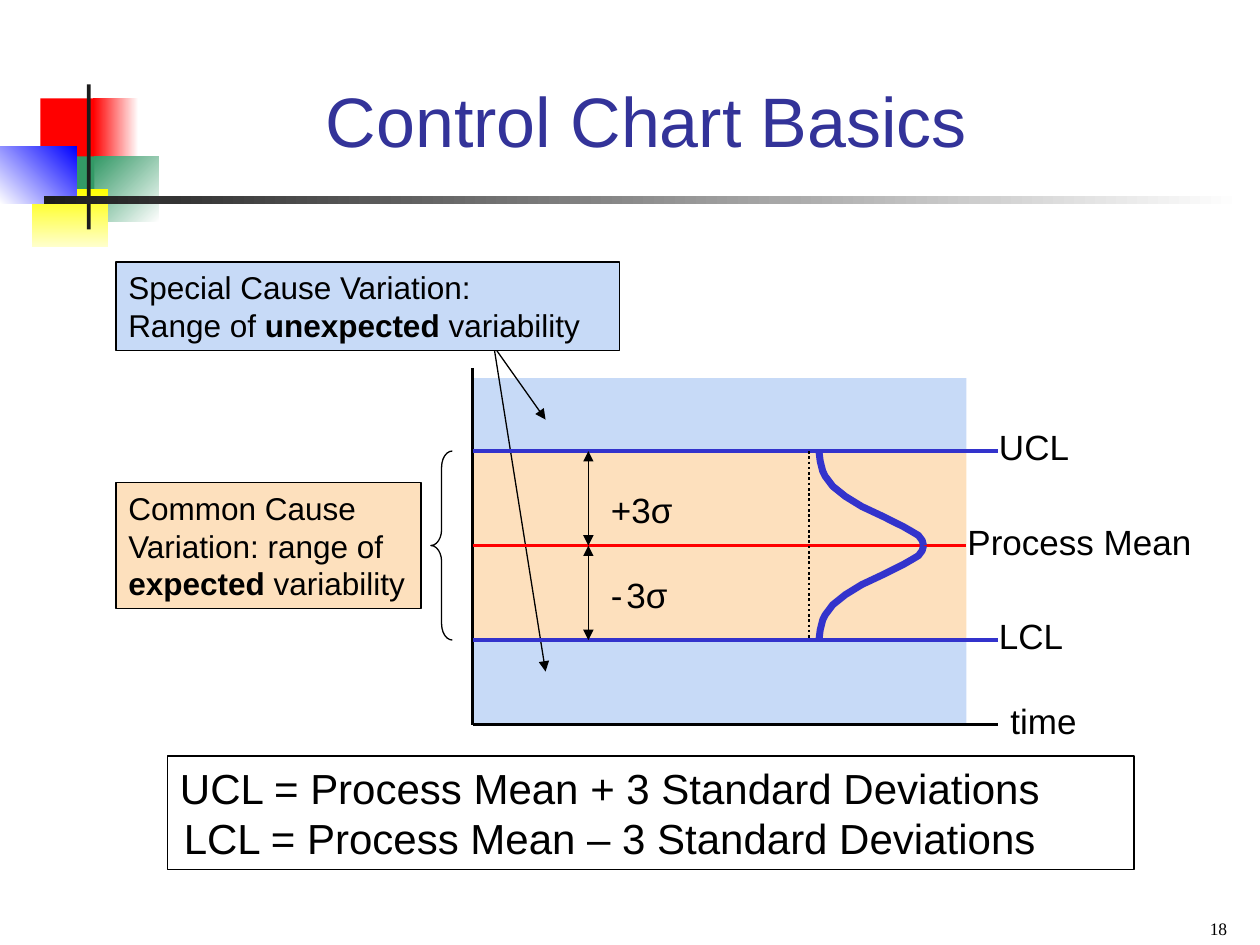
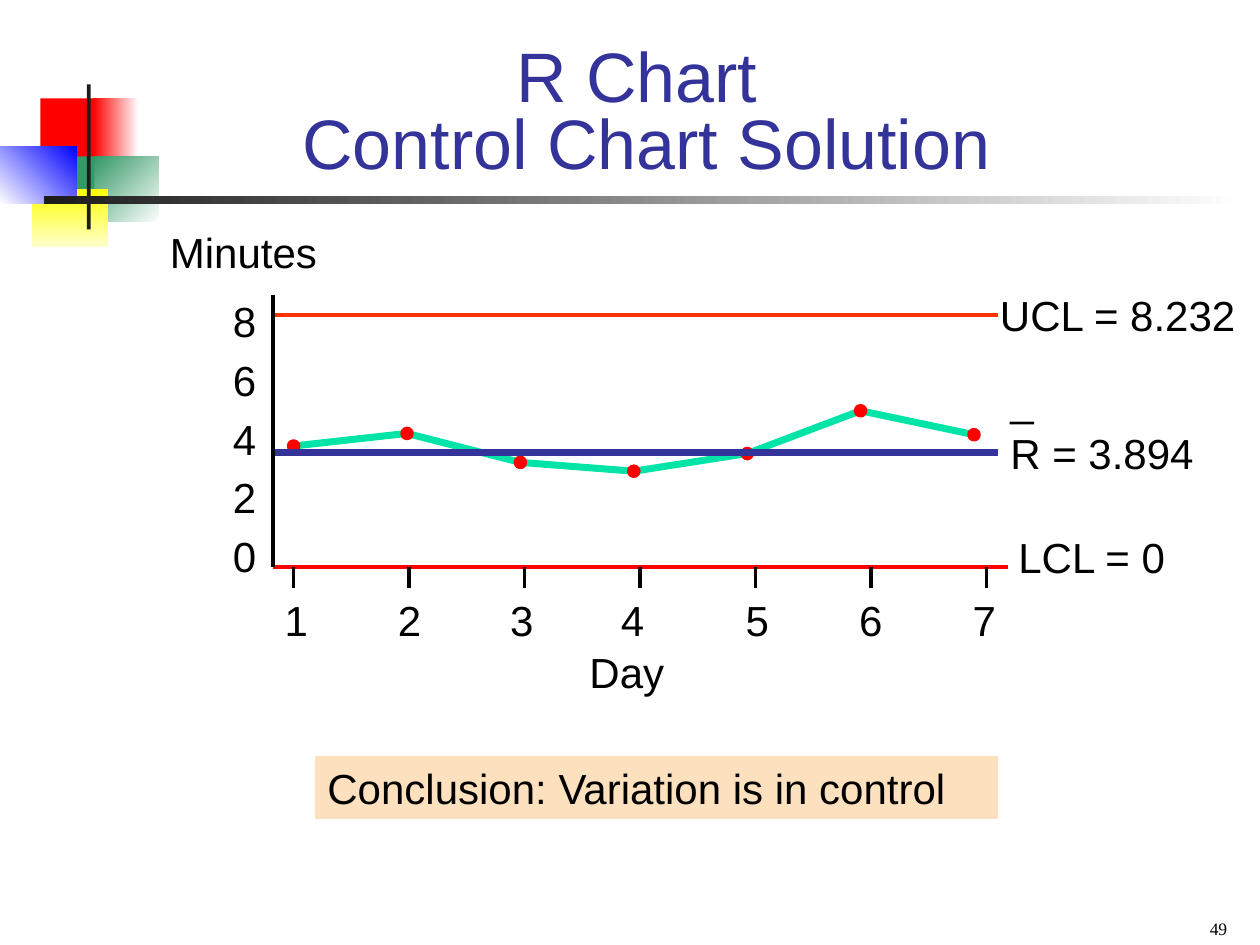
"""Builds two slides on control charts: the basics and a worked R chart."""
from dataclasses import dataclass

from lxml import etree
from pptx import Presentation, util as u
from pptx.dml.color import RGBColor
from pptx.enum import dml, shapes, text
from pptx.oxml.ns import qn


@dataclass(frozen=True)
class Theme:
    """Colours, fonts and type sizes used by both slides."""
    ink: str = "000000"
    title: str = "333399"
    limit: str = "3333CC"
    red: str = "FF0000"
    upper_limit: str = "FF3300"
    series: str = "00E4A8"
    special: str = "C7DAF7"
    common: str = "FDE0BD"
    font: str = "Arial"
    number_font: str = "Times New Roman"
    title_size: int = 40
    large: int = 24
    medium: int = 20
    small: int = 18
    gap: int = 8
    number: int = 10


THEME = Theme()


@dataclass(frozen=True)
class Box:
    """A rectangle on the slide, in inches."""
    left: float
    top: float
    width: float
    height: float

    def lengths(self) -> tuple:
        """Return the four sides as lengths."""
        return tuple(u.Inches(side) for side in (self.left, self.top, self.width, self.height))


@dataclass(frozen=True)
class Run:
    """A piece of text; a size of 0 takes the size of its box."""
    words: str
    bold: bool = False
    size: int = 0


@dataclass(frozen=True)
class Style:
    """How the text of a box is set."""
    size: int = THEME.large
    color: str = THEME.ink
    font: str = THEME.font
    align: text.PP_ALIGN = text.PP_ALIGN.LEFT
    anchor: text.MSO_ANCHOR = text.MSO_ANCHOR.TOP
    wrap: bool = True
    spacing: float = 1.0


@dataclass(frozen=True)
class Line:
    """A straight line with optional arrowheads."""
    start: tuple[float, float]
    end: tuple[float, float]
    color: str = THEME.ink
    width: float = 0.75
    arrows: tuple[str, ...] = ()
    dotted: bool = False


@dataclass(frozen=True)
class Block:
    """A rectangle filled with one colour or a two-colour gradient."""
    box: Box
    colors: tuple[str, ...]
    angle: int = 0


DECORATION = (
    Block(Box(0.32, 0.78, 0.48, 0.52), ("FF0000",)),
    Block(Box(0.74, 0.78, 0.36, 0.52), ("FFFFFF", "FF0000"), 180),
    Block(Box(0.75, 1.24, 0.51, 0.52), ("FFFFFF", "339966"), 225),
    Block(Box(0.43, 1.24, 0.32, 0.52), ("339966",)),
    Block(Box(0.25, 1.5, 0.61, 0.46), ("FFFF00", "FFFFCC"), 90),
    Block(Box(0, 1.16, 0.61, 0.46), ("0000FF", "FFFFFF"), 135),
    Block(Box(0.69, 0.67, 0.03, 1.15), ("1C1C1C",)),
    Block(Box(0.35, 1.56, 9.51, 0.06), ("FFFFFF", "1C1C1C"), 180),
)

LABEL = Style(size=THEME.medium)
NOTE = Style(size=THEME.small)
CENTERED = Style(align=text.PP_ALIGN.CENTER)
UNWRAPPED = Style(wrap=False)


def rgb(color: str) -> RGBColor:
    """Turn a hex colour into an RGBColor."""
    return RGBColor.from_string(color)


def write(shape, paragraphs: list[list[Run]], style: Style, inset: float = 0.1) -> None:
    """Set paragraphs of runs in a shape; a newline in a run breaks the line."""
    frame = shape.text_frame
    frame.word_wrap = style.wrap
    frame.vertical_anchor = style.anchor
    frame.margin_left = frame.margin_right = u.Inches(inset)
    frame.margin_top = frame.margin_bottom = u.Inches(0.05)
    for index, runs in enumerate(paragraphs):
        paragraph = frame.add_paragraph() if index else frame.paragraphs[0]
        paragraph.alignment = style.align
        paragraph.line_spacing = style.spacing
        for piece in runs:
            for number, words in enumerate(piece.words.split("\n")):
                if number:
                    paragraph.add_line_break()
                run = paragraph.add_run()
                run.text = words
                run.font.name = style.font
                run.font.size = u.Pt(piece.size or style.size)
                run.font.bold = piece.bold
                run.font.color.rgb = rgb(style.color)


def add_text(slide, box: Box, words: str, style: Style = Style(), inset: float = 0.1):
    """Add a text box holding one paragraph."""
    shape = slide.shapes.add_textbox(*box.lengths())
    write(shape, [[Run(words)]], style, inset)
    return shape


def add_shape(slide, box: Box, fill: str = "", line: str = "", width: float = 0.75,
              kind: shapes.MSO_SHAPE = shapes.MSO_SHAPE.RECTANGLE):
    """Add a preset shape with a plain fill and outline, either of which may be absent."""
    shape = slide.shapes.add_shape(kind, *box.lengths())
    shape.shadow.inherit = False
    if fill:
        shape.fill.solid()
        shape.fill.fore_color.rgb = rgb(fill)
    else:
        shape.fill.background()
    if line:
        shape.line.color.rgb = rgb(line)
        shape.line.width = u.Pt(width)
    else:
        shape.line.fill.background()
    return shape


def add_line(slide, line: Line):
    """Add a straight connector."""
    points = [u.Inches(value) for value in (*line.start, *line.end)]
    connector = slide.shapes.add_connector(shapes.MSO_CONNECTOR.STRAIGHT, *points)
    connector.line.color.rgb = rgb(line.color)
    connector.line.width = u.Pt(line.width)
    if line.dotted:
        connector.line.dash_style = dml.MSO_LINE.ROUND_DOT
    properties = connector._element.spPr
    for arrow in line.arrows:
        etree.SubElement(properties.find(qn("a:ln")), qn(f"a:{arrow}"), type="triangle")
    etree.SubElement(properties, qn("a:effectLst"))
    return connector


def add_curve(slide, points: list[tuple[float, float]], color: str) -> None:
    """Add an open, unfilled outline through the points."""
    lengths = [(u.Inches(x), u.Inches(y)) for x, y in points]
    builder = slide.shapes.build_freeform(*lengths[0])
    builder.add_line_segments(lengths[1:], close=False)
    shape = builder.convert_to_shape()
    shape.shadow.inherit = False
    shape.fill.background()
    shape.line.color.rgb = rgb(color)
    shape.line.width = u.Pt(4)


def add_slide(presentation, title: str, title_top: float, spacing: float, number: str):
    """Add a slide with the shared decoration, title and number."""
    slide = presentation.slides.add_slide(presentation.slide_layouts[6])
    for block in DECORATION:
        shape = add_shape(slide, block.box, block.colors[0])
        if len(block.colors) == 2:
            shape.fill.gradient()
            shape.fill.gradient_angle = 360 - block.angle
            for stop, color in zip(shape.fill.gradient_stops, block.colors):
                stop.color.rgb = rgb(color)
    add_text(slide, Box(1.26, title_top, 7.74, 1.08), title,
             Style(THEME.title_size, THEME.title, align=text.PP_ALIGN.CENTER,
                   anchor=text.MSO_ANCHOR.BOTTOM, spacing=spacing), 0.09)
    add_text(slide, Box(7.5, 7.15, 2.33, 0.35), number,
             Style(THEME.number, font=THEME.number_font, align=text.PP_ALIGN.RIGHT,
                   anchor=text.MSO_ANCHOR.BOTTOM), 0.09)
    return slide


def build_basics(presentation) -> None:
    """Draw the control chart with its limits and kinds of variation."""
    slide = add_slide(presentation, "Control Chart Basics", 0.25, 1, "18")
    left, right, upper, mean, lower, bottom = 3.75, 7.92, 3.58, 4.33, 5.08, 5.75
    add_shape(slide, Box(left, 3, 3.92, 0.58), THEME.special)
    add_shape(slide, Box(left, lower, 3.92, 0.67), THEME.special)
    common_band = add_shape(slide, Box(left, upper, 3.92, 1.5), THEME.common)
    for end_y in (5.33, 3.33):
        add_line(slide, Line((3.92, 2.75), (4.33, end_y), arrows=("tailEnd",)))
    add_line(slide, Line((left, 2.92), (left, bottom), width=2.25))
    add_line(slide, Line((left, bottom), (right, bottom), width=2.25))
    add_line(slide, Line((left, lower), (right, lower), THEME.limit, 2))
    mean_line = add_line(slide, Line((left, mean), (7.67, mean), THEME.red, 2))
    mean_line.begin_connect(common_band, 1)
    mean_line.end_connect(common_band, 3)
    add_line(slide, Line((left, upper), (right, upper), THEME.limit, 2))
    for top, end in ((upper, mean), (mean, lower)):
        add_line(slide, Line((4.67, top), (4.67, end), arrows=("headEnd", "tailEnd")))

    bell = [(6.5, 0.75), (6.51, 0.67), (6.52, 0.63), (6.53, 0.59), (6.55, 0.55),
            (6.58, 0.51), (6.61, 0.47), (6.71, 0.39), (6.84, 0.31), (7.01, 0.23),
            (7.09, 0.19), (7.17, 0.15), (7.24, 0.11), (7.29, 0.08), (7.32, 0.04), (7.33, 0)]
    for side in (1, -1):
        add_curve(slide, [(x, mean + side * offset) for x, offset in bell], THEME.limit)
    add_line(slide, Line((6.42, upper), (6.42, lower), width=1.5, dotted=True))
    brace = add_shape(slide, Box(3.42, upper, 0.17, 1.5), line=THEME.ink,
                      kind=shapes.MSO_SHAPE.LEFT_BRACE)
    brace.adjustments[0] = 0.75

    for words, x, y, width in (("Process Mean", 7.58, 4.08, 2.33), ("UCL", 7.83, 3.33, 0.92),
                               ("LCL", 7.83, 4.83, 0.92), ("+3σ", 4.75, 3.83, 0.92),
                               ("time", right, 5.5, 0.92)):
        add_text(slide, Box(x, y, width, 0.44), words, LABEL)
    minus = slide.shapes.add_textbox(*Box(4.75, 4.5, 0.92, 0.44).lengths())
    write(minus, [[Run("-"), Run(" ", size=THEME.gap), Run("3σ")]], LABEL)

    common = add_shape(slide, Box(0.92, 3.83, 2.42, 1), THEME.common, THEME.ink, 1)
    write(common, [[Run("Common Cause Variation: range of "), Run("expected", True),
                    Run(" variability")]], NOTE)
    special = add_shape(slide, Box(0.92, 2.08, 4, 0.7), THEME.special, THEME.ink)
    write(special, [[Run("Special Cause Variation:")],
                    [Run("Range of "), Run("unexpected", True), Run(" variability")]], NOTE)
    formulas = add_shape(slide, Box(1.33, 6, 7.67, 0.9), line=THEME.ink)
    write(formulas, [[Run("UCL = Process Mean + 3 Standard Deviations")],
                     [Run(" ", size=THEME.gap),
                      Run("LCL = Process Mean – 3 Standard Deviations")]], Style())


def build_r_chart(presentation) -> None:
    """Draw the R chart of daily ranges against its limits."""
    slide = add_slide(presentation, "R Chart \nControl Chart Solution", 0.42, 0.8, "49")
    left, right, base = 2.17, 7.92, 4.5
    add_line(slide, Line((left, base), (8, base), THEME.red, 2.25))
    heights = (3.54, 3.44, 3.67, 3.74, 3.6, 3.26, 3.45)
    ranges = [(2.33 + 0.9 * day, y) for day, y in enumerate(heights)]
    add_curve(slide, ranges, THEME.series)
    for x, y in ranges:
        add_shape(slide, Box(x - 0.04, y - 0.04, 0.08, 0.08), THEME.red, THEME.red, 2,
                  shapes.MSO_SHAPE.OVAL)
    add_line(slide, Line((left, 3.59), (right, 3.59), THEME.title, 4))
    add_line(slide, Line((right, 2.5), (left, 2.5), THEME.upper_limit, 2.25))
    add_line(slide, Line((left, 2.34), (left, base), width=2.25))

    for step in range(5):
        add_text(slide, Box(1.75, 4.16 - 0.465 * step, 0.38, 0.5), str(2 * step), UNWRAPPED)
    for day, x in enumerate((2.16, 3.06, 3.95, 4.83, 5.82, 6.72, 7.62)):
        add_text(slide, Box(x, 4.67, 0.38, 0.5), str(day + 1), UNWRAPPED)
        tick = 2.33 + 5.5 / 6 * day
        add_line(slide, Line((tick, 4.67), (tick, base), width=2))
    add_text(slide, Box(1.25, 1.75, 1.37, 0.5), "Minutes", UNWRAPPED)
    add_text(slide, Box(4.58, 5.08, 0.79, 0.5), "Day", UNWRAPPED)
    add_text(slide, Box(7.83, 2.25, 2.08, 0.5), "UCL = 8.232", CENTERED)
    add_text(slide, Box(7.83, 4.17, 1.67, 0.5), "LCL = 0", CENTERED)
    add_text(slide, Box(right, 3.34, 1.75, 0.5), "R = 3.894")
    add_text(slide, Box(right, 2.92, 0.5, 0.5), "_")
    conclusion = add_shape(slide, Box(2.5, 6, 5.42, 0.5), THEME.common)
    write(conclusion, [[Run("Conclusion: Variation is in control")]], Style())


def main() -> None:
    """Build and save the presentation."""
    presentation = Presentation()
    presentation.slide_width = u.Inches(10)
    presentation.slide_height = u.Inches(7.5)
    build_basics(presentation)
    build_r_chart(presentation)
    presentation.save("out.pptx")


if __name__ == "__main__":
    main()
